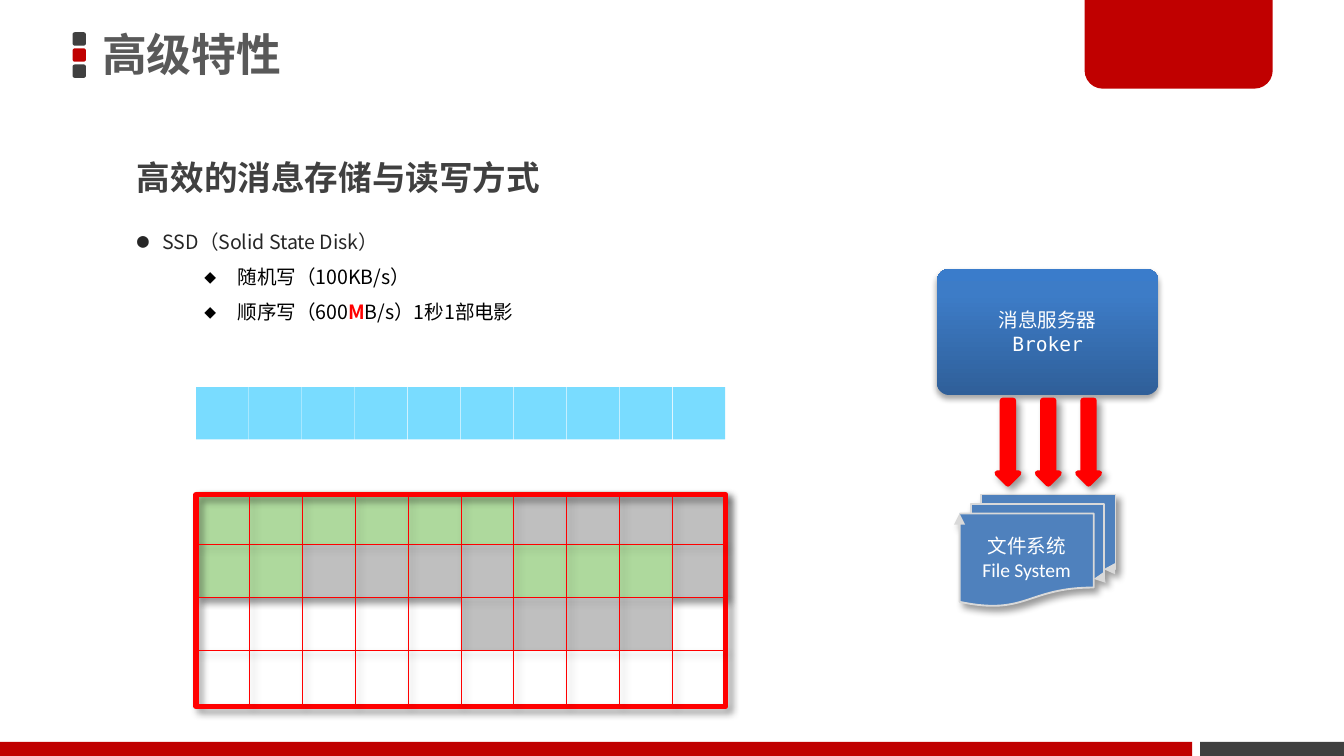
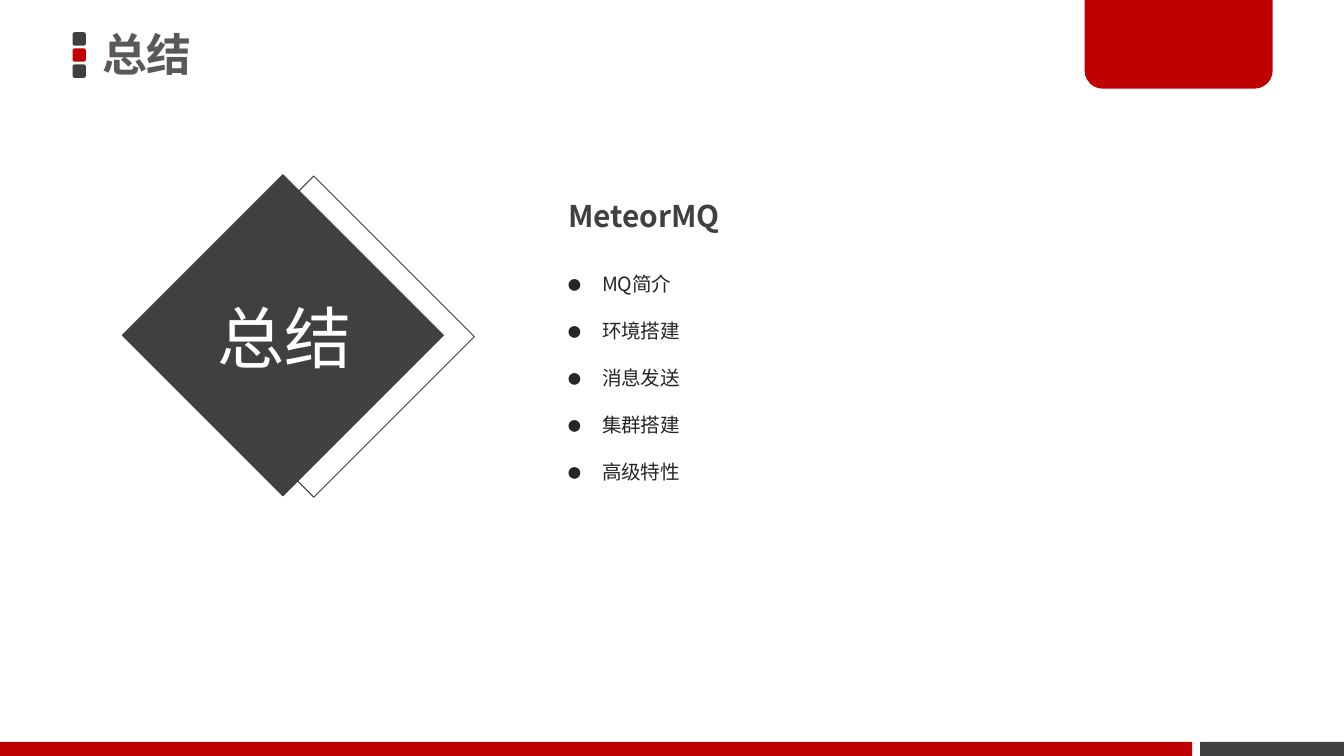
from copy import deepcopy

from lxml.etree import SubElement
from pptx import Presentation
from pptx.dml.color import RGBColor
from pptx.enum.shapes import MSO_CONNECTOR, MSO_SHAPE
from pptx.enum.text import MSO_ANCHOR, MSO_AUTO_SIZE, PP_ALIGN
from pptx.oxml.ns import qn
from pptx.util import Inches, Pt


# Theme
class Theme:
    sans, mono, latin = "Noto Sans CJK SC", "DejaVu Sans Mono", "Calibri"
    red, dark, title_gray, ink = "C00000", "404040", "595959", "262626"
    bright, black, white = "FF0000", "000000", "FFFFFF"
    green, used, sky = "AED99D", "BFBFBF", "79DCFF"
    paper, paper_edge = "4F81BD", "D9D9D9"
    server = [(0, "2F5F99"), (0.8, "3D7CC7"), (1, "3A7CCB")]
    # Shadow: alpha %, blur pt, distance pt, angle
    drop, soft = (40, 4, 3, 45), (35, 3.1, 1.8, 90)
    title = dict(size=24, bold=True, color=title_gray)
    heading = dict(size=18, bold=True, color=dark)
    topic = dict(size=16, bold=True, color=dark)
    body = dict(size=10.5, color=ink)
    detail = dict(size=10.5, color=black)
    strong = dict(size=10.5, bold=True, color=bright)
    badge = dict(size=36, color=white)
    server_text = dict(size=10.5, color=white, name=mono)
    file_text = dict(size=10.5, color=white, name=latin)


T = Theme

# Content: a paragraph is a list of (text, format) runs
STORAGE_TITLE = "高级特性"
STORAGE_HEADING = "高效的消息存储与读写方式"
STORAGE_LIST = [
    (0, [("SSD（Solid State Disk）", T.body)]),
    (1, [("随机写（100KB/s）", T.detail)]),
    (1, [("顺序写（600", T.detail), ("M", T.strong), ("B/s）1秒1部电影", T.detail)]),
]
SERVER = ["消息服务器", "Broker"]
FILES = ["文件系统", "File System"]
USED_CELLS = [(6, 7, 8, 9), (2, 3, 4, 5, 9), (5, 6, 7, 8)]  # columns by row

SUMMARY_TITLE = "总结"
SUMMARY_TOPIC = "MeteorMQ"
SUMMARY_LIST = ["MQ简介", "环境搭建", "消息发送", "集群搭建", "高级特性"]

# Disk grid
GRID_X, GRID_Y, GRID_W = 1.46, 3.66, 3.94
COLS, ROWS = 10, 4
PITCH = GRID_W / COLS
CELL = 0.39
QUEUE_Y = 2.88

# Bullets by level: character, left margin, hanging indent
BULLETS = [("●", 0.19, 0.19), ("◆", 0.75, 0.25)]
WIDE_BULLET = [("●", 0.25, 0.25)]


# Helpers
def rgb(value):
    return RGBColor.from_string(value)


def set_all(obj, **values):
    for name, value in values.items():
        setattr(obj, name, value)


def place(s, box):
    for name, value in zip(("left", "top", "width", "height"), box):
        setattr(s, name, Inches(value))


def add_run(p, text, size, color, bold=False, name=T.sans):
    r = p.add_run()
    r.text = text
    set_all(r.font, size=Pt(size), bold=bold, name=name)
    r.font.color.rgb = rgb(color)
    SubElement(r.font._element, qn("a:ea"), typeface=name)


def write(s, paragraphs, align=PP_ALIGN.LEFT, spacing=1.0, anchor=MSO_ANCHOR.TOP,
          margins=(0.1, 0.05)):
    """Fill a shape with paragraphs, each a list of (text, format) runs."""
    tf = s.text_frame
    side, edge = map(Inches, margins)
    set_all(tf, word_wrap=True, auto_size=MSO_AUTO_SIZE.NONE, vertical_anchor=anchor,
            margin_left=side, margin_right=side, margin_top=edge, margin_bottom=edge)
    for i, runs in enumerate(paragraphs):
        p = tf.add_paragraph() if i else tf.paragraphs[0]
        set_all(p, alignment=align, line_spacing=spacing,
                space_before=Pt(0), space_after=Pt(0))
        for text, fmt in runs:
            add_run(p, text, **fmt)


def write_list(s, box, items, spacing, bullets):
    place(s, box)
    write(s, [runs for _, runs in items], spacing=spacing)
    for p, (level, _) in zip(s.text_frame.paragraphs, items):
        char, margin, hang = bullets[level]
        p.level = level
        pPr = p._p.get_or_add_pPr()
        pPr.set("marL", str(Inches(margin)))
        pPr.set("indent", str(-Inches(hang)))
        SubElement(pPr, qn("a:buFont"), typeface=T.mono)
        SubElement(pPr, qn("a:buChar"), char=char)


def add_text(slide, box, text, fmt, **options):
    s = slide.shapes.add_textbox(*map(Inches, box))
    write(s, [[(text, fmt)]], **options)


def set_shadow(s, shadow):
    spPr = s._element.spPr
    effects = spPr.find(qn("a:effectLst"))
    if effects is None:
        effects = SubElement(spPr, qn("a:effectLst"))
    if shadow:
        alpha, blur, dist, angle = shadow
        outer = SubElement(effects, qn("a:outerShdw"), blurRad=str(Pt(blur)),
                           dist=str(Pt(dist)), dir=str(angle * 60000),
                           algn="tl", rotWithShape="0")
        color = SubElement(outer, qn("a:srgbClr"), val=T.black)
        SubElement(color, qn("a:alpha"), val=str(alpha * 1000))


def set_gradient(s, stops):
    s.fill.gradient()
    s.fill.gradient_angle = 90
    gs_list = s._element.spPr.find(".//" + qn("a:gsLst"))
    gs_list.append(deepcopy(gs_list[-1]))
    for stop, (position, color) in zip(s.fill.gradient_stops, stops):
        stop.position = position
        stop.color.rgb = rgb(color)


def add_shape(slide, kind, box, fill=None, line=None, shadow=None, adj=(), rotation=0):
    s = slide.shapes.add_shape(kind, *map(Inches, box))
    s.rotation = rotation
    for i, value in enumerate(adj):
        s.adjustments[i] = value
    if isinstance(fill, list):
        set_gradient(s, fill)
    elif fill:
        s.fill.solid()
        s.fill.fore_color.rgb = rgb(fill)
    else:
        s.fill.background()
    if line:
        color, width = line
        s.line.color.rgb = rgb(color)
        s.line.width = Pt(width)
    else:
        s.line.fill.background()
    s.shadow.inherit = False
    set_shadow(s, shadow)
    return s


def add_rule(slide, x1, y1, x2, y2):
    c = slide.shapes.add_connector(MSO_CONNECTOR.STRAIGHT, *map(Inches, (x1, y1, x2, y2)))
    c.line.color.rgb = rgb(T.bright)
    c.line.width = Pt(0.5)
    set_shadow(c, T.drop)


# Shared frame, kept on the layout
def decorate(layout, slide):
    parts = [
        add_shape(slide, MSO_SHAPE.ROUNDED_RECTANGLE, (0.54, 0.24 + 0.12 * i, 0.1, 0.1),
                  color, adj=[0.17])
        for i, color in enumerate((T.dark, T.red, T.dark))
    ]
    parts += [
        add_shape(slide, MSO_SHAPE.RECTANGLE, (8.93, 5.52, 1.07, 0.11), T.dark),
        add_shape(slide, MSO_SHAPE.RECTANGLE, (0, 5.52, 8.87, 0.11), T.red),
        add_shape(slide, MSO_SHAPE.ROUND_2_SAME_RECTANGLE, (8.07, -0.02, 1.4, 0.68),
                  T.red, adj=[0, 0.2]),
    ]
    for s in parts:
        layout.shapes._spTree.append(s._element)


def set_title(slide, box, text):
    s = slide.shapes.title
    place(s, box)
    write(s, [[(text, T.title)]], spacing=0.9, anchor=MSO_ANCHOR.MIDDLE,
          margins=(0.07, 0.04))


# Slide 1: storage
def draw_disk(slide):
    def cell(col, y, color):
        add_shape(slide, MSO_SHAPE.RECTANGLE, (GRID_X + col * PITCH, y, CELL, CELL), color)

    add_shape(slide, MSO_SHAPE.RECTANGLE, (GRID_X, GRID_Y, GRID_W, 2 * PITCH),
              T.green, shadow=T.drop)
    for row, cols in enumerate(USED_CELLS):
        for col in cols:
            cell(col, GRID_Y + row * PITCH, T.used)
    for col in range(COLS):
        cell(col, QUEUE_Y, T.sky)

    top, height = GRID_Y + 0.02, ROWS * PITCH
    add_shape(slide, MSO_SHAPE.RECTANGLE, (GRID_X, top, GRID_W, height),
              line=(T.bright, 3), shadow=T.drop)
    for row in range(1, ROWS):
        y = GRID_Y + row * PITCH
        add_rule(slide, GRID_X, y, GRID_X + GRID_W, y)
    for col in range(1, COLS):
        x = GRID_X + col * PITCH
        add_rule(slide, x, top, x, top + height)


def draw_server(slide):
    centred = dict(align=PP_ALIGN.CENTER, anchor=MSO_ANCHOR.MIDDLE)
    server = add_shape(slide, MSO_SHAPE.ROUNDED_RECTANGLE, (6.97, 2, 1.65, 0.94),
                       T.server, shadow=T.soft, adj=[0.1])
    write(server, [[(line, T.server_text)] for line in SERVER], **centred)

    files = add_shape(slide, MSO_SHAPE.FLOWCHART_MULTIDOCUMENT, (7.14, 3.68, 1.16, 0.83),
                      T.paper, (T.paper_edge, 1), T.drop)
    SubElement(files._element.spPr.find(qn("a:ln")), qn("a:tailEnd"), type="triangle")
    write(files, [[(line, T.file_text)] for line in FILES], **centred)

    for i in range(3):
        add_shape(slide, MSO_SHAPE.DOWN_ARROW, (7.42 + 0.3 * i, 2.98, 0.16, 0.62),
                  T.bright, (T.bright, 3), T.drop)


def fill_storage(slide):
    set_title(slide, (0.69, 0.09, 5.89, 0.67), STORAGE_TITLE)
    add_text(slide, (0.92, 0.97, 7.15, 0.51), STORAGE_HEADING, T.heading, spacing=1.5)
    write_list(slide.placeholders[1], (0.92, 1.57, 7.01, 1.43), STORAGE_LIST, 1.5, BULLETS)
    draw_disk(slide)
    draw_server(slide)


# Slide 2: summary
def fill_summary(slide):
    set_title(slide, (0.69, -0.02, 4.31, 0.89), SUMMARY_TITLE)
    for x, y, fill in ((1.49, 1.66, None), (1.26, 1.65, T.dark)):
        add_shape(slide, MSO_SHAPE.RECTANGLE, (x, y, 1.69, 1.69), fill,
                  (T.dark, 0.5), rotation=45)
    add_text(slide, (0.02, 2.1, 4.19, 0.89), SUMMARY_TITLE, T.badge, spacing=0.9,
             align=PP_ALIGN.CENTER, anchor=MSO_ANCHOR.MIDDLE, margins=(0.07, 0.04))
    add_text(slide, (4.13, 1.42, 3.86, 0.37), SUMMARY_TOPIC, T.topic)
    items = [(0, [(text, T.body)]) for text in SUMMARY_LIST]
    write_list(slide.placeholders[1], (4.13, 1.8, 3.78, 1.87), items, 2.0, WIDE_BULLET)


def main():
    prs = Presentation()
    width = Inches(10)
    set_all(prs, slide_width=width, slide_height=width * 9 // 16)
    layout = prs.slide_layouts[1]
    storage, summary = (prs.slides.add_slide(layout) for _ in range(2))
    decorate(layout, storage)
    fill_storage(storage)
    fill_summary(summary)
    prs.save("out.pptx")


if __name__ == "__main__":
    main()
